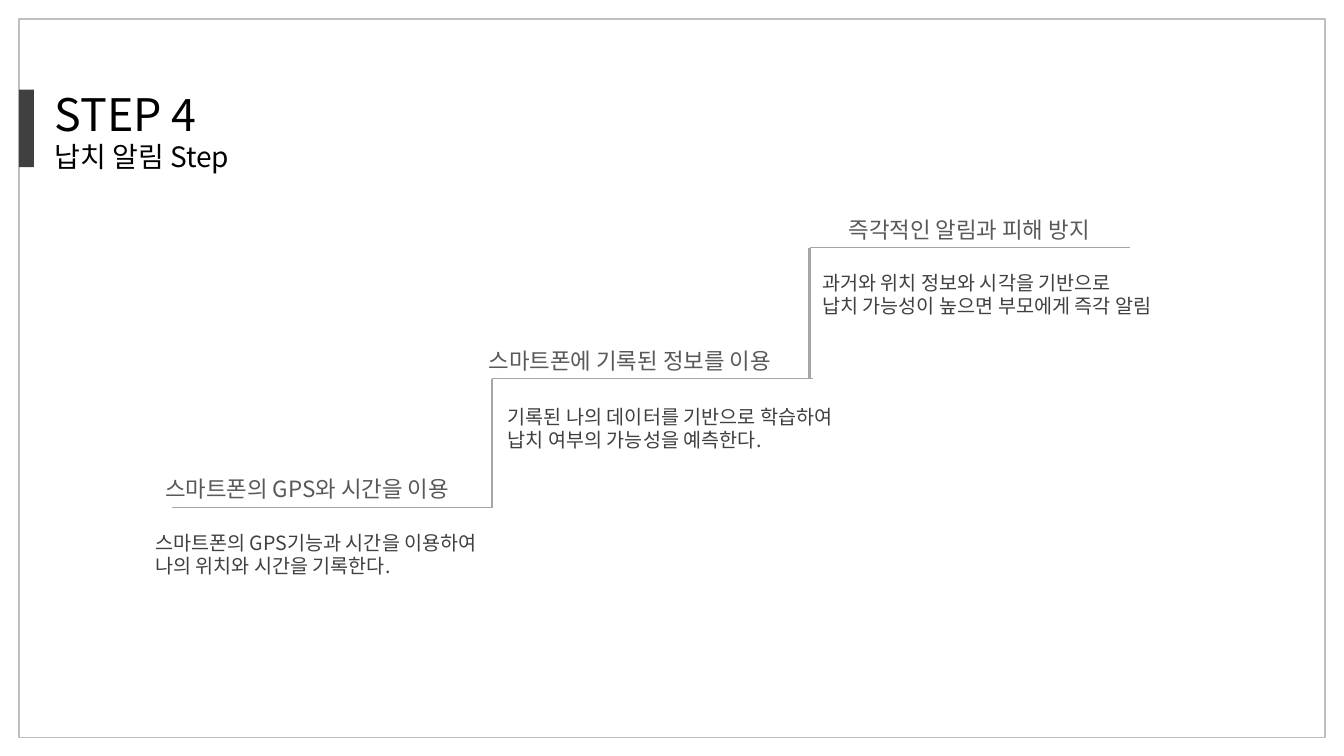
from pptx import Presentation
from pptx.dml.color import RGBColor
from pptx.enum import shapes, text
from pptx.oxml.ns import qn
from pptx.util import Pt
from lxml import etree

FONT = "Noto Sans CJK KR"
COLORS = {"frame": "BFBFBF", "bar": "404040", "title": "000000",
          "head": "595959", "body": "404040", "stair": "A6A6A6"}
TITLE = [("STEP 4", 32), ("납치 알림 Step", 20)]
# Each step: tread (left, y), heading (left, text, align), details (left, top, lines)
LEFT, MID = text.PP_ALIGN.LEFT, text.PP_ALIGN.CENTER
STEPS = [
    {"tread": (123, 362.2),
     "head": (110.9, "스마트폰의 GPS와 시간을 이용", LEFT),
     "body": (103.7, 375.7, ["스마트폰의 GPS기능과 시간을 이용하여",
                             "나의 위치와 시간을 기록한다."])},
    {"tread": (351.4, 270.7),
     "head": (342, "스마트폰에 기록된 정보를 이용", LEFT),
     "body": (355.7, 285.7, ["기록된 나의 데이터를 기반으로 학습하여",
                             "납치 여부의 가능성을 예측한다."])},
    {"tread": (578.5, 177.1),
     "head": (537.1, "즉각적인 알림과 피해 방지", MID),
     "body": (580.3, 190, ["과거와 위치 정보와 시각을 기반으로",
                           "납치 가능성이 높으면 부모에게 즉각 알림"])},
]
TREAD = 229
HEAD_W, HEAD_H, HEAD_UP = 310.3, 26.6, 26.2
BODY_W, BODY_H = 280, 41
PITCH = 1.18

deck = Presentation()
deck.slide_width, deck.slide_height = Pt(960), Pt(540)
slide = deck.slides.add_slide(deck.slide_layouts[5])


def rgb(name):
    return RGBColor.from_string(COLORS[name])


def write(lines, at, color, align=LEFT, shape=None):
    """Put (text, size) lines in a new text box, or in the given shape."""
    box = [Pt(v) for v in at]
    if shape is None:
        shape = slide.shapes.add_textbox(*box)
    else:
        shape.left, shape.top, shape.width, shape.height = box
    frame = shape.text_frame
    frame.word_wrap = True
    frame.auto_size = text.MSO_AUTO_SIZE.NONE
    frame.vertical_anchor = text.MSO_ANCHOR.TOP
    for i, (words, size) in enumerate(lines):
        para = frame.add_paragraph() if i else frame.paragraphs[0]
        para.alignment = align
        para.line_spacing = Pt(round(size * PITCH, 1))
        para.space_before = Pt(0)
        run = para.add_run()
        run.text = words
        run.font.size, run.font.name = Pt(size), FONT
        run.font.color.rgb = rgb(color)
        east = etree.SubElement(run.font._element, qn("a:ea"))
        east.set("typeface", FONT)


def rect(at, fill=None, line=None):
    shape = slide.shapes.add_shape(shapes.MSO_SHAPE.RECTANGLE, *[Pt(v) for v in at])
    shape.shadow.inherit = False
    if fill:
        shape.fill.solid()
        shape.fill.fore_color.rgb = rgb(fill)
    else:
        shape.fill.background()
    if line:
        shape.line.color.rgb = rgb(line)
        shape.line.width = Pt(1)
    else:
        shape.line.fill.background()


def rule(x1, y1, x2, y2, width):
    line = slide.shapes.add_connector(
        shapes.MSO_CONNECTOR.STRAIGHT, Pt(x1), Pt(y1), Pt(x2), Pt(y2))
    line.line.color.rgb = rgb("stair")
    line.line.width = Pt(width)
    etree.SubElement(line._element.spPr, qn("a:effectLst"))


rect((13.5, 13.5, 933, 513.5), line="frame")
rect((13.5, 64, 10.8, 55.5), fill="bar")
write(TITLE, (31.7, 59, 382.3, 70.6), "title", shape=slide.shapes.title)

below = None
for step in STEPS:
    x, y = step["tread"]
    rule(x, y, x + TREAD, y, 0.75)
    if below:
        rule(x, y, x, below, 2)
    below = y
    left, words, align = step["head"]
    write([(words, 16)], (left, y - HEAD_UP, HEAD_W, HEAD_H), "head", align)
    left, top, lines = step["body"]
    write([(words, 14) for words in lines], (left, top, BODY_W, BODY_H), "body")

deck.save("out.pptx")
